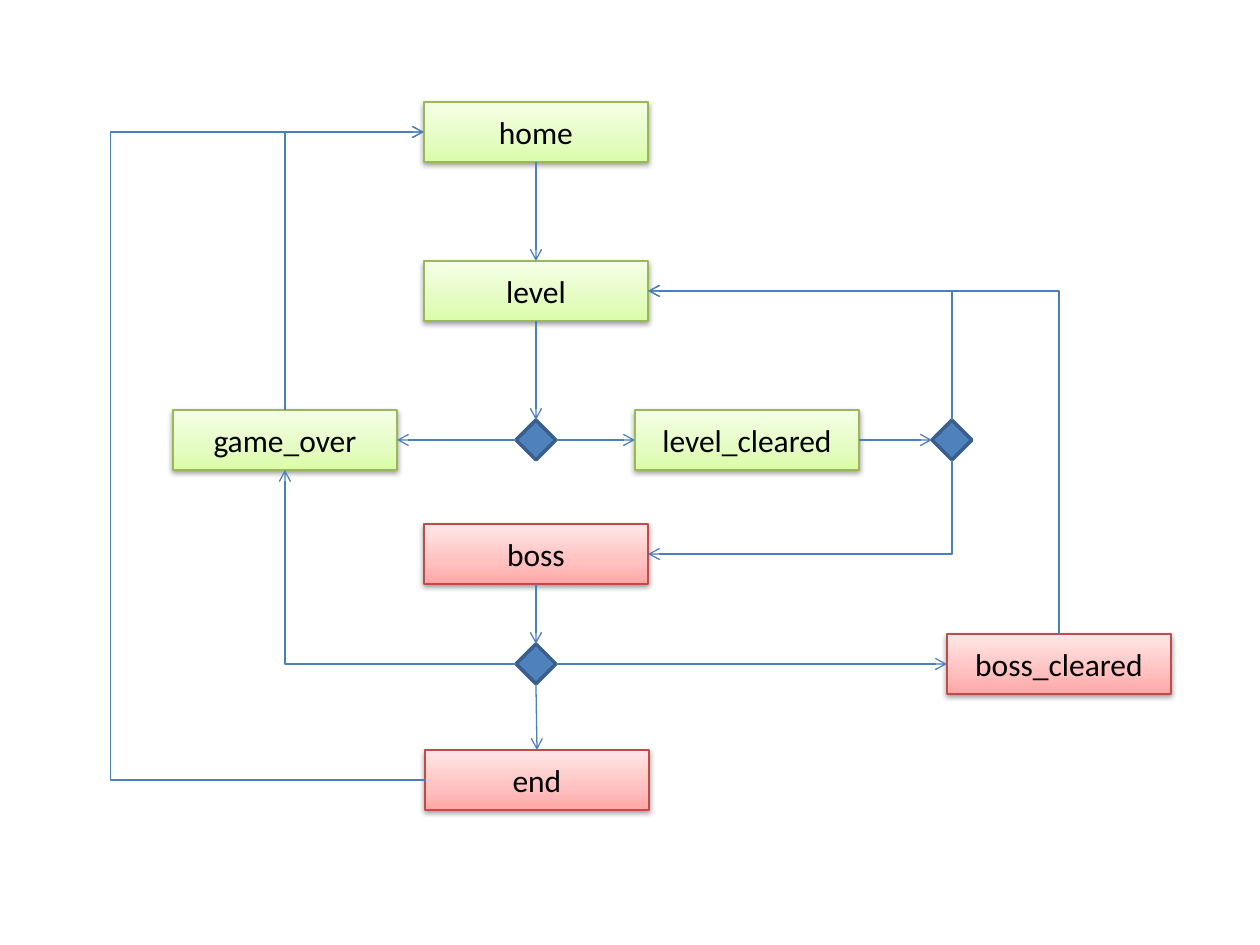
from dataclasses import dataclass

from pptx import Presentation
from pptx.dml.color import RGBColor
from pptx.enum.shapes import MSO_CONNECTOR as Link, MSO_SHAPE as Preset
from pptx.enum.text import MSO_ANCHOR as Anchor, PP_ALIGN as Align
from pptx.oxml import parse_xml
from pptx.oxml.ns import nsdecls, qn
from pptx.util import Emu, Pt

EMU_PER_PX = 914400 // 126
BOX_SIZE = (224, 60)
DIAMOND_SIZE = (40, 40)
TOP, LEFT, BOTTOM, RIGHT = range(4)


@dataclass(frozen=True)
class Theme:
    font: str = "Calibri"
    text_size: int = 18
    text: str = "000000"
    green: tuple = ("DAFDA7", "E4FCC2", "F5FFE7")
    green_line: str = "98B955"
    red: tuple = ("FFA6A5", "FFC0BF", "FFE7E7")
    red_line: str = "BF4C48"
    diamond: str = "4F81BD"
    diamond_line: str = "3A5F8C"
    arrow: str = "4B7EBC"
    thin: float = 0.75
    thick: float = 2


THEME = Theme()


def px(value):
    return Emu(round(value * EMU_PER_PX))


def set_line(line, color, width):
    line.color.rgb = RGBColor.from_string(color)
    line.width = Pt(width)


def add_centred(page, preset, centre, size):
    (x, y), (width, height) = centre, size
    shape = page.shapes.add_shape(
        preset, px(x - width / 2), px(y - height / 2), px(width), px(height))
    shape.shadow.inherit = False
    return shape


def set_gradient(shape, colors):
    """Blend three colours from the bottom edge to the top edge."""
    stops = "".join(
        f'<a:gs pos="{position}"><a:srgbClr val="{color}"/></a:gs>'
        for position, color in zip((0, 35000, 100000), colors))
    shape.fill.background()
    properties = shape.element.spPr
    properties.replace(properties.find(qn("a:noFill")), parse_xml(
        f'<a:gradFill rotWithShape="1" {nsdecls("a")}><a:gsLst>{stops}</a:gsLst>'
        '<a:lin ang="16200000" scaled="1"/></a:gradFill>'))


def set_shadow(shape):
    shape.element.spPr.find(qn("a:effectLst")).append(parse_xml(
        f'<a:outerShdw {nsdecls("a")} blurRad="40000" dist="20000" dir="5400000" '
        'rotWithShape="0"><a:srgbClr val="000000"><a:alpha val="38000"/>'
        '</a:srgbClr></a:outerShdw>'))


def add_state(page, name, centre, colors, line_color):
    box = add_centred(page, Preset.RECTANGLE, centre, BOX_SIZE)
    set_gradient(box, colors)
    set_line(box.line, line_color, THEME.thin)
    set_shadow(box)
    frame = box.text_frame
    frame.text = name
    frame.vertical_anchor = Anchor.MIDDLE
    para = frame.paragraphs[0]
    para.alignment = Align.CENTER
    font = para.runs[0].font
    font.name = THEME.font
    font.size = Pt(THEME.text_size)
    font.color.rgb = RGBColor.from_string(THEME.text)
    return box


def add_decision(page, centre):
    diamond = add_centred(page, Preset.FLOWCHART_DECISION, centre, DIAMOND_SIZE)
    diamond.fill.solid()
    diamond.fill.fore_color.rgb = RGBColor.from_string(THEME.diamond)
    set_line(diamond.line, THEME.diamond_line, THEME.thick)
    return diamond


def add_arrow(page, start, start_side, end, end_side, kind=Link.STRAIGHT):
    arrow = page.shapes.add_connector(kind, 0, 0, 0, 0)
    arrow.begin_connect(start, start_side)
    arrow.end_connect(end, end_side)
    set_line(arrow.line, THEME.arrow, THEME.thin)
    arrow.line._get_or_add_ln().append(
        parse_xml(f'<a:tailEnd type="arrow" {nsdecls("a")}/>'))
    arrow.element.spPr.append(parse_xml(f'<a:effectLst {nsdecls("a")}/>'))
    return arrow


def add_corner_arrow(page, start, start_side, end, end_side):
    """Join two shapes by one right-angled turn."""
    arrow = add_arrow(page, start, start_side, end, end_side, Link.ELBOW)
    properties = arrow.element.spPr
    properties.find(qn("a:prstGeom")).set("prst", "bentConnector2")
    if start_side in (LEFT, RIGHT):
        return
    # The preset starts sideways, so a vertical start is a quarter turn of it.
    down = arrow.end_y > arrow.begin_y
    leftward = arrow.end_x < arrow.begin_x
    left, top, width, height = arrow.left, arrow.top, arrow.width, arrow.height
    arrow.left = left + (width - height) // 2
    arrow.top = top + (height - width) // 2
    arrow.width, arrow.height = height, width
    frame = properties.find(qn("a:xfrm"))
    frame.set("rot", "5400000" if down else "16200000")
    frame.set("flipH", "0")
    frame.set("flipV", "0" if down == leftward else "1")


def add_return_arrow(page, start, end, lane_x):
    """Run from left side to left side by way of a vertical lane."""
    arrow = add_arrow(page, start, LEFT, end, LEFT, Link.ELBOW)
    ratio = (arrow.begin_x - px(lane_x)) / arrow.width
    guides = arrow.element.spPr.find(qn("a:prstGeom")).get_or_add_avLst()
    guides.append(parse_xml(
        f'<a:gd {nsdecls("a")} name="adj1" fmla="val {round(ratio * 100000)}"/>'))


def main():
    deck = Presentation()
    deck.slide_width, deck.slide_height = px(1260), px(945)
    page = deck.slides.add_slide(deck.slide_layouts[6])

    green = (THEME.green, THEME.green_line)
    red = (THEME.red, THEME.red_line)
    states = {
        name: add_state(page, name, centre, *colors)
        for name, centre, colors in (
            ("home", (536, 132), green),
            ("level", (536, 291), green),
            ("level_cleared", (747, 440), green),
            ("game_over", (285, 440), green),
            ("boss", (536, 554), red),
            ("boss_cleared", (1059, 664), red),
            ("end", (537, 780), red),
        )
    }
    home, level, level_cleared, game_over, boss, boss_cleared, end = states.values()
    level_result, boss_result, next_stage = (
        add_decision(page, centre)
        for centre in ((536, 440), (536, 664), (952, 440)))

    for route in (
        (home, BOTTOM, level, TOP),
        (level, BOTTOM, level_result, TOP),
        (level_result, LEFT, game_over, RIGHT),
        (level_result, RIGHT, level_cleared, LEFT),
        (level_cleared, RIGHT, next_stage, LEFT),
        (boss, BOTTOM, boss_result, TOP),
        (boss_result, RIGHT, boss_cleared, LEFT),
        (boss_result, BOTTOM, end, TOP),
    ):
        add_arrow(page, *route)
    for route in (
        (next_stage, TOP, level, RIGHT),
        (next_stage, BOTTOM, boss, RIGHT),
        (boss_cleared, TOP, level, RIGHT),
        (boss_result, LEFT, game_over, BOTTOM),
        (game_over, TOP, home, LEFT),
    ):
        add_corner_arrow(page, *route)
    add_return_arrow(page, end, home, 108)

    deck.save("out.pptx")


if __name__ == "__main__":
    main()
